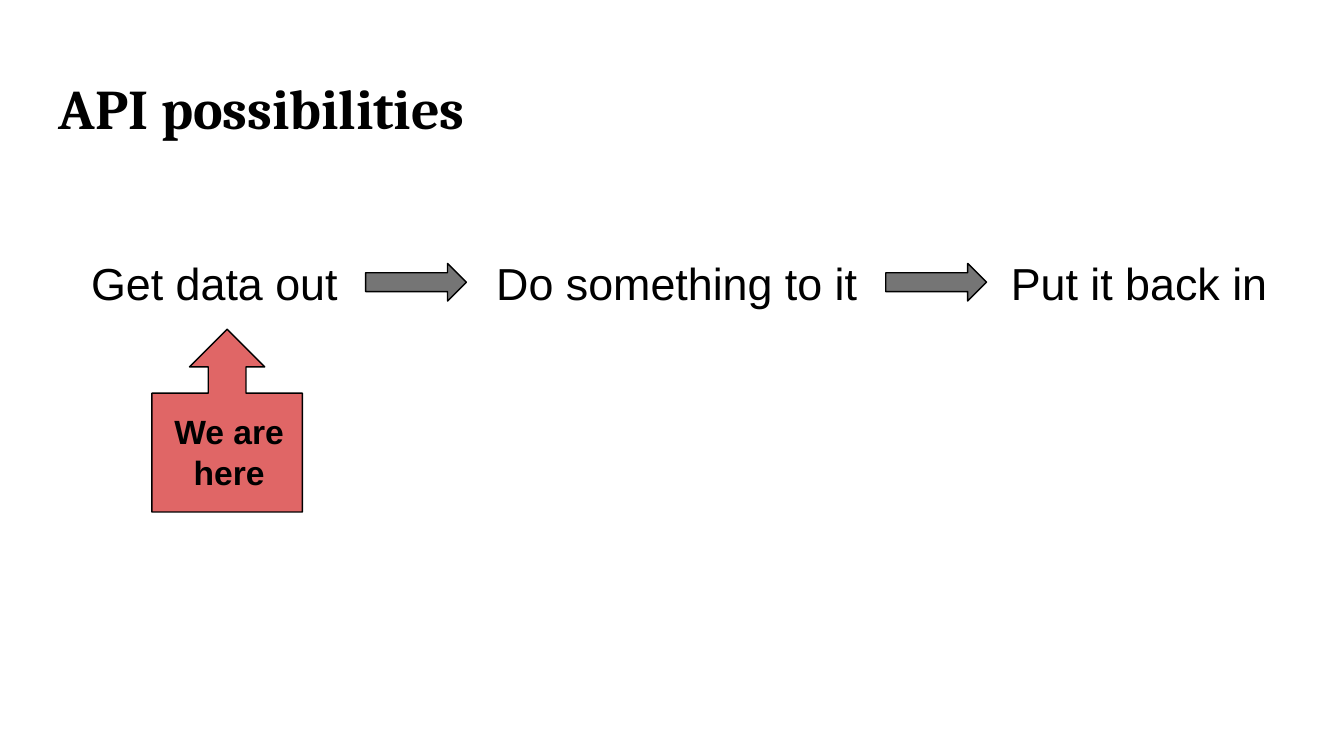
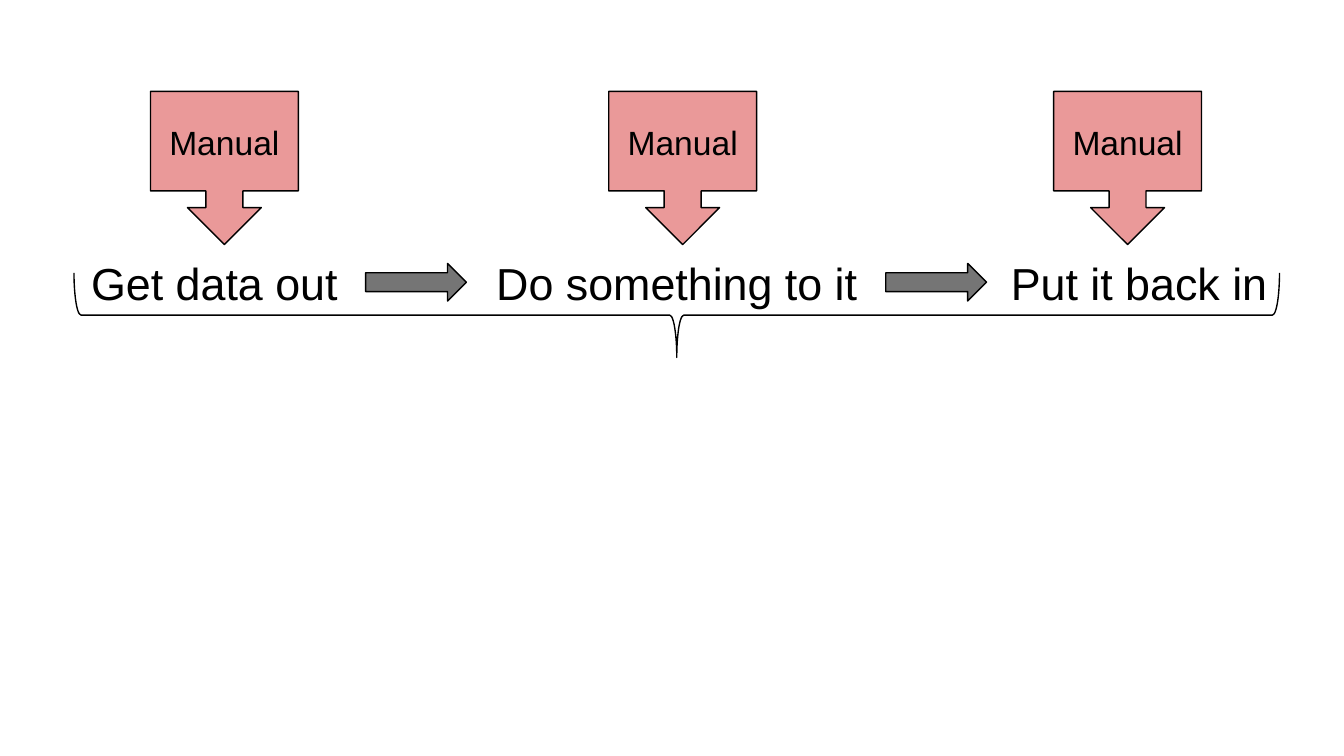
import pptx
import pptx.dml.color
import pptx.enum.shapes
import pptx.enum.text
import pptx.util

RGBColor = pptx.dml.color.RGBColor
SHAPE = pptx.enum.shapes.MSO_SHAPE
ALIGN = pptx.enum.text.PP_ALIGN
ANCHOR = pptx.enum.text.MSO_ANCHOR

# Shared look
EMU_PER_PX = 9144  # 100 px to the inch
SLIDE_W = 1000
BLACK = RGBColor(0x00, 0x00, 0x00)
WHITE = RGBColor(0xFF, 0xFF, 0xFF)
GREY = RGBColor(0x75, 0x75, 0x75)
RED = RGBColor(0xE0, 0x66, 0x66)
PINK = RGBColor(0xEA, 0x99, 0x99)
HEAD_FONT = "Cambria"
BODY_FONT = "Arial"

# Process row: text, left, width
STEPS = [("Get data out", 47, 225), ("Do something to it", 348, 311), ("Put it back in", 735, 225)]
STEP_TOP, STEP_H = 175, 70
ARROW_W, ARROW_H = 75, 28
CALLOUT_W = 110


def px(n):
    return pptx.util.Emu(n * EMU_PER_PX)


def add_slide(prs):
    s = prs.slides.add_slide(prs.slide_layouts[6])
    s.background.fill.solid()
    s.background.fill.fore_color.rgb = WHITE
    return s


def add_text(s, text, x, y, w, h, size, font=BODY_FONT, bold=False,
             align=ALIGN.CENTER, anchor=ANCHOR.TOP):
    tf = s.shapes.add_textbox(px(x), px(y), px(w), px(h)).text_frame
    tf.word_wrap = True
    tf.vertical_anchor = anchor
    tf.margin_left = tf.margin_right = tf.margin_top = tf.margin_bottom = px(10)
    p = tf.paragraphs[0]
    p.alignment = align
    r = p.add_run()
    r.text = text
    r.font.name = font
    r.font.size = pptx.util.Pt(size)
    r.font.bold = bold
    r.font.color.rgb = BLACK


def add_outlined(s, kind, x, y, w, h, fill=None):
    sp = s.shapes.add_shape(kind, px(x), px(y), px(w), px(h))
    sp.shadow.inherit = False
    if fill is None:
        sp.fill.background()
    else:
        sp.fill.solid()
        sp.fill.fore_color.rgb = fill
    sp.line.color.rgb = BLACK
    sp.line.width = pptx.util.Pt(0.75)
    return sp


def add_title(s, text):
    add_text(s, text, 34, 45, 932, 70, 30, HEAD_FONT, bold=True, align=ALIGN.LEFT)


def add_process(s):
    for text, x, w in STEPS:
        add_text(s, text, x, STEP_TOP, w, STEP_H, 24, anchor=ANCHOR.MIDDLE)
    # An arrow follows every step but the last
    for _, x, w in STEPS[:-1]:
        add_outlined(s, SHAPE.RIGHT_ARROW, x + w, STEP_TOP + 21, ARROW_W, ARROW_H, GREY)


def add_manual_callout(s, x):
    add_outlined(s, SHAPE.DOWN_ARROW_CALLOUT, x, 68, CALLOUT_W, 114, PINK)
    add_text(s, "Manual", x, 81, CALLOUT_W, 56, 18)


def add_brace_below(s, x, y, w, h):
    # The brace is drawn upright, then turned about its centre
    sp = add_outlined(s, SHAPE.RIGHT_BRACE, x + (w - h) // 2, y - (w - h) // 2, h, w)
    sp.rotation = 90


def build_possibilities(prs):
    s = add_slide(prs)
    add_title(s, "API possibilities")
    add_process(s)
    add_outlined(s, SHAPE.UP_ARROW_CALLOUT, 113, 245, 112, 136, RED)
    add_text(s, "We are here", 116, 296, 109, 80, 18, bold=True)


def build_manual(prs):
    s = add_slide(prs)
    add_process(s)
    add_brace_below(s, 55, 203, 897, 63)
    for x in (453, 112, 784):
        add_manual_callout(s, x)


def main():
    prs = pptx.Presentation()
    # Widescreen, 16:9
    prs.slide_width = px(SLIDE_W)
    prs.slide_height = px(SLIDE_W) * 9 // 16
    build_possibilities(prs)
    build_manual(prs)
    prs.save("out.pptx")


if __name__ == "__main__":
    main()
